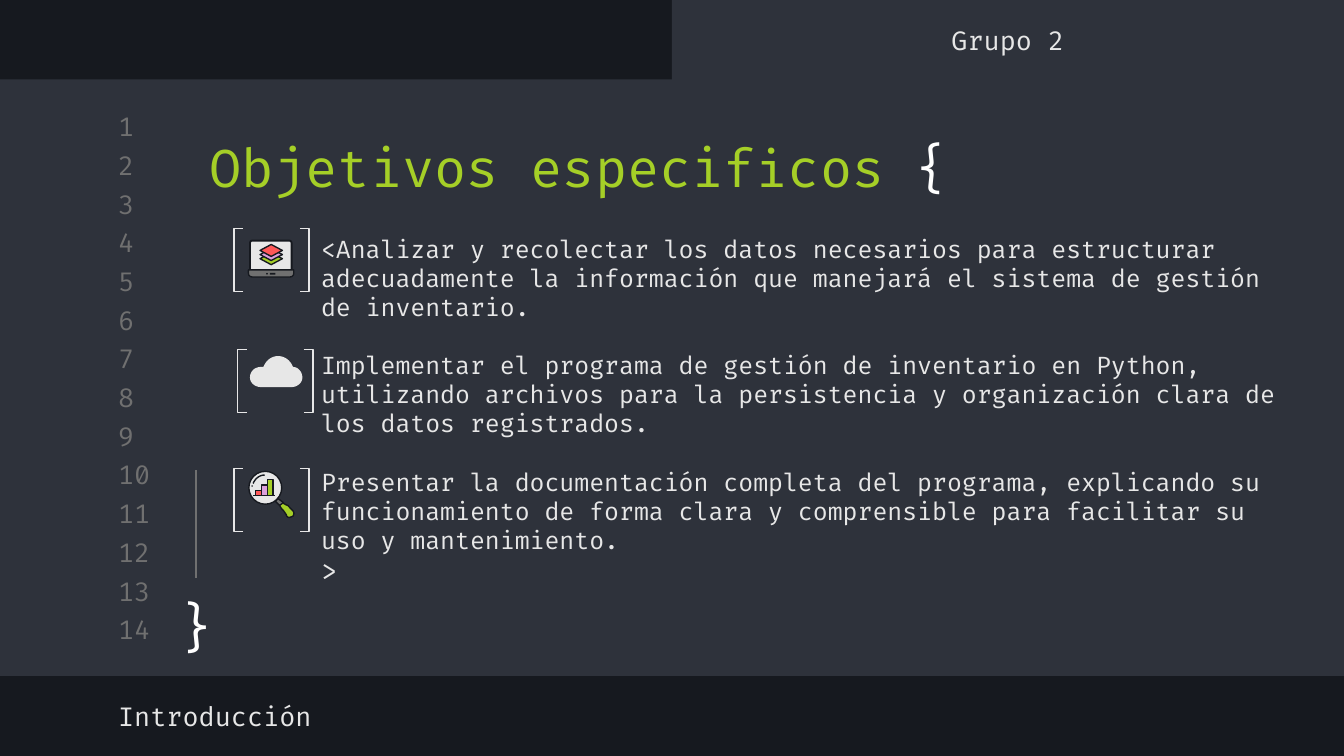
from lxml.etree import SubElement
from pptx import Presentation
from pptx.dml.color import RGBColor
from pptx.enum.shapes import MSO_CONNECTOR, MSO_SHAPE as Shape
from pptx.enum.text import MSO_ANCHOR as Anchor, PP_ALIGN as Align
from pptx.oxml.ns import qn
from pptx.util import Pt

DARK = RGBColor(0x16, 0x19, 0x1F)
PANEL = RGBColor(0x2E, 0x32, 0x3B)
GREY = RGBColor(0x70, 0x70, 0x70)
LIGHT = RGBColor(0xE7, 0xE7, 0xE7)
WHITE = RGBColor(0xFF, 0xFF, 0xFF)
GREEN = RGBColor(0xA5, 0xCF, 0x27)
PINK = RGBColor(0xDB, 0xA0, 0xDB)
RED = RGBColor(0xFF, 0x58, 0x58)

OBJECTIVES = [
    "<Analizar y recolectar los datos necesarios para estructurar adecuadamente "
    "la información que manejará el sistema de gestión de inventario.",
    "Implementar el programa de gestión de inventario en Python, utilizando "
    "archivos para la persistencia y organización clara de los datos registrados.",
    "Presentar la documentación completa del programa, explicando su "
    "funcionamiento de forma clara y comprensible para facilitar su uso y mantenimiento.",
]
CLOUD = [
    (149, 190.8), (145.4, 190.8, 142.6, 193, 141.1, 196.6), (139.7, 196.6),
    (136.8, 196.6, 133.9, 198.7, 133.9, 202.3),
    (133.9, 205.2, 136.8, 207.4, 139.7, 207.4), (156.2, 207.4),
    (159.1, 207.4, 162, 205.2, 162, 202.3),
    (162, 199.4, 159.8, 196.6, 157, 196.6),
    (155.5, 193, 152.6, 190.8, 149, 190.8),
]
NECK = [(149, 267.1), (147.6, 268.6), (149.8, 270.7), (151.9, 269.3)]
HANDLE = [
    (151.2, 269.3), (149.8, 270.7), (150.5, 272.2, 151.2, 272.9, 151.9, 273.6),
    (153.4, 275.8), (153.4, 276.5, 154.1, 277.2, 154.8, 277.2),
    (155.5, 277.2, 156.2, 276.9, 157, 276.5),
    (157.7, 275, 157.7, 274.3, 156.2, 272.9), (154.1, 270.7),
    (153.4, 270.7, 152.6, 270, 151.2, 269.3),
]
GLINT = [(135.6, 259), (136.8, 256.3, 139, 254.5, 141.8, 254.5)]


def flatten(path, steps=8):
    """Turn a path of points and six-number cubic curves into plain points."""
    points = [path[0]]
    for part in path[1:]:
        if len(part) == 2:
            points.append(part)
            continue
        controls = [points[-1], part[:2], part[2:4], part[4:]]
        for step in range(1, steps + 1):
            t = step / steps
            weights = ((1 - t) ** 3, 3 * t * (1 - t) ** 2, 3 * t * t * (1 - t), t ** 3)
            points.append(tuple(sum(w * c[axis] for w, c in zip(weights, controls))
                                for axis in (0, 1)))
    return points


class SlideBuilder:
    font = "Fira Code"

    def __init__(self, page):
        self.page = page
        page.background.fill.solid()
        page.background.fill.fore_color.rgb = DARK

    def paint(self, shape, fill, line, width):
        shape.shadow.inherit = False
        for part, color in ((shape.fill, fill), (shape.line.fill, line)):
            if color is None:
                part.background()
            else:
                part.solid()
                part.fore_color.rgb = color
        if line is not None:
            shape.line.width = Pt(width)

    def shape(self, kind, left, top, width, height, fill=None, line=None,
              weight=0.75, adjust=()):
        shape = self.page.shapes.add_shape(kind, Pt(left), Pt(top), Pt(width), Pt(height))
        for index, value in enumerate(adjust):
            shape.adjustments[index] = value
        self.paint(shape, fill, line, weight)

    def outline(self, path, fill=None, line=None, weight=0.75, close=True):
        start, *rest = [(Pt(x), Pt(y)) for x, y in flatten(path)]
        builder = self.page.shapes.build_freeform(*start)
        builder.add_line_segments(rest, close=close)
        self.paint(builder.convert_to_shape(), fill, line, weight)

    def line(self, x1, y1, x2, y2, color, weight=0.75):
        line = self.page.shapes.add_connector(
            MSO_CONNECTOR.STRAIGHT, Pt(x1), Pt(y1), Pt(x2), Pt(y2))
        line.line.color.rgb = color
        line.line.width = Pt(weight)
        SubElement(line._element.spPr, qn("a:effectLst"))

    def text(self, left, top, width, height, paragraphs, size=14, color=LIGHT,
             align=Align.LEFT, anchor=Anchor.MIDDLE):
        box = self.page.shapes.add_textbox(Pt(left), Pt(top), Pt(width), Pt(height))
        frame = box.text_frame
        frame.word_wrap = True
        frame.vertical_anchor = anchor
        frame.margin_left = frame.margin_right = Pt(7.2)
        frame.margin_top = frame.margin_bottom = Pt(7.2)
        for index, words in enumerate(paragraphs):
            para = frame.add_paragraph() if index else frame.paragraphs[0]
            para.add_run().text = words
            para.alignment = align
            para.font.name = self.font
            para.font.size = Pt(size)
            para.font.color.rgb = color
        return frame

    def brackets(self, left, top):
        for kind, x in ((Shape.LEFT_BRACKET, left), (Shape.RIGHT_BRACKET, left + 35.3)):
            self.shape(kind, x, top, 5, 33.8, line=LIGHT, adjust=[0])

    def laptop(self):
        self.shape(Shape.ROUND_2_SAME_RECTANGLE, 133.9, 128.9, 22.3, 15.8,
                   LIGHT, DARK, 1, [0.08, 0])
        for top, color in ((135.4, GREEN), (133.2, PINK), (131, RED)):
            self.shape(Shape.DIAMOND, 139.3, top, 12, 6.4, color, DARK)
        self.shape(Shape.ROUND_2_SAME_RECTANGLE, 133.1, 144.6, 24.3, 3.8,
                   GREY, DARK, 0.75, [0, 0.5])
        self.shape(Shape.OVAL, 142.6, 146.2, 0.9, 0.9, DARK)
        self.shape(Shape.ROUNDED_RECTANGLE, 144.6, 146.2, 3, 0.9, DARK)

    def magnifier(self):
        self.outline(HANDLE, GREEN, DARK)
        self.outline(NECK, GREY, DARK)
        self.shape(Shape.OVAL, 133.3, 252.5, 17.6, 17.6, LIGHT, DARK)
        for index, color in enumerate((RED, PINK, GREEN)):
            height = 2.9 * (index + 1)
            self.shape(Shape.RECTANGLE, 137 + 3.1 * index, 265.6 - height,
                       3.1, height, color, DARK)
        self.line(135.7, 265.6, 147.3, 265.6, DARK)
        self.outline(GLINT, line=DARK, close=False)
        self.shape(Shape.OVAL, 134.7, 260, 0.8, 0.8, DARK)


def main():
    deck = Presentation()
    deck.slide_width, deck.slide_height = Pt(720), Pt(405)
    slide = SlideBuilder(deck.slides.add_slide(deck.slide_layouts[6]))

    slide.shape(Shape.RECTANGLE, 0, 42.5, 720, 319.7, PANEL)
    slide.shape(Shape.RECTANGLE, 360, 0, 360, 46.8, PANEL)
    for index in range(14):
        slide.text(56.2, 59 + 20.73 * index, 33.8, 17.3, [str(index + 1)], color=GREY)

    body = slide.text(164.9, 188.6, 524.9, 61.9, OBJECTIVES + [">"], size=13)
    for para in body.paragraphs[1:3]:
        para.space_before = Pt(15.6)
    body.paragraphs[3].font.size = Pt(14)

    title = slide.text(105.1, 68.4, 530.6, 41.8, ["Objetivos especificos "],
                       size=28, color=GREEN)
    brace = title.paragraphs[0].add_run()
    brace.text = "{"
    brace.font.color.rgb = WHITE

    slide.text(56.2, 369.4, 383, 28.1, ["Introducción"])
    slide.text(360, 7.2, 360, 28.1, ["Grupo 2"], align=Align.CENTER)
    slide.line(105.1, 252, 105.1, 309.6, GREY)
    slide.text(85.7, 311, 39.6, 48.2, ["}"], size=28, color=WHITE,
               align=Align.CENTER, anchor=Anchor.TOP)

    for left, top in ((125.3, 122.4), (127.4, 187.2), (125.3, 251)):
        slide.brackets(left, top)
    slide.laptop()
    slide.outline(CLOUD, LIGHT)
    slide.magnifier()
    deck.save("out.pptx")


if __name__ == "__main__":
    main()
